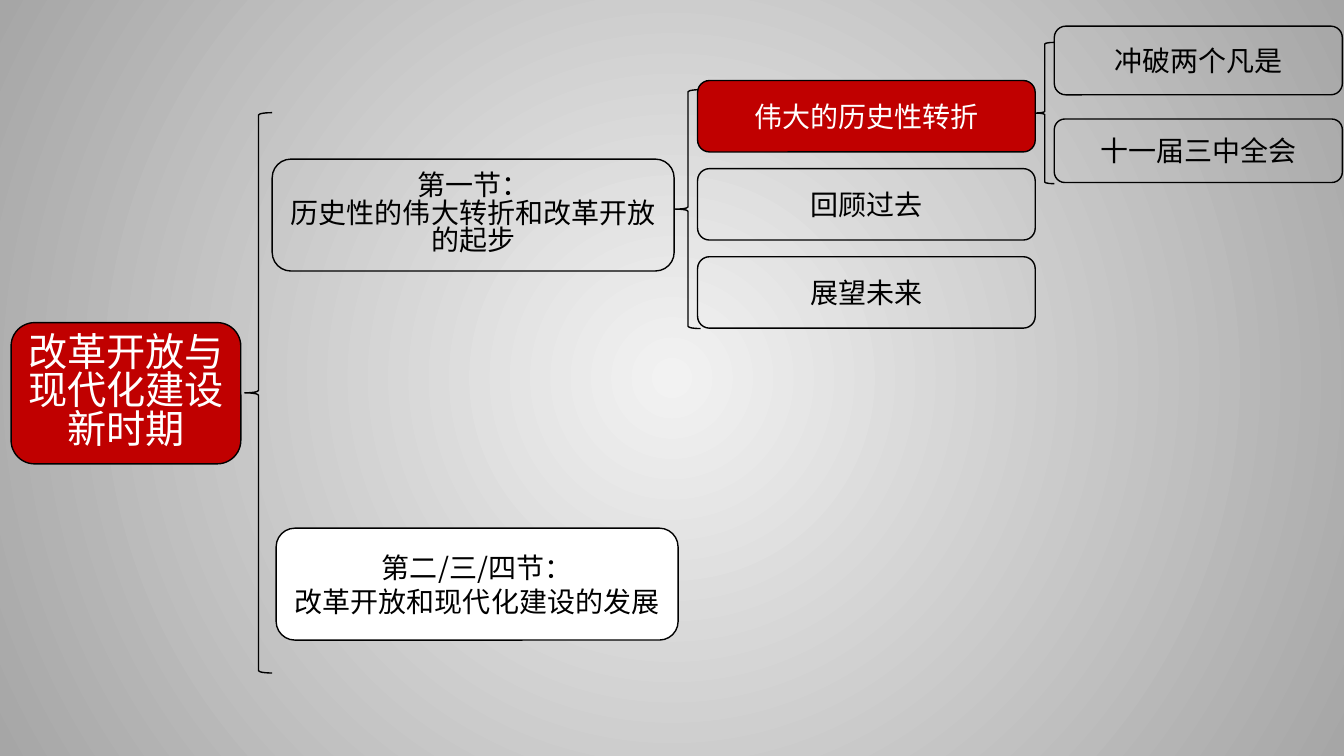
from dataclasses import dataclass

from lxml import etree
from pptx import Presentation
from pptx.dml.color import RGBColor
from pptx.enum.shapes import MSO_SHAPE
from pptx.enum.text import MSO_ANCHOR, PP_ALIGN
from pptx.oxml.ns import qn
from pptx.util import Cm, Pt

ROUNDED = MSO_SHAPE.ROUNDED_RECTANGLE
BRACE = MSO_SHAPE.LEFT_BRACE
MIDDLE = MSO_ANCHOR.MIDDLE
CENTER = PP_ALIGN.CENTER


@dataclass(frozen=True)
class Theme:
    font: str = "Noto Sans CJK SC"
    red: RGBColor = RGBColor(0xC0, 0x00, 0x00)
    black: RGBColor = RGBColor(0x00, 0x00, 0x00)
    white: RGBColor = RGBColor(0xFF, 0xFF, 0xFF)
    glow: RGBColor = RGBColor(0xF2, 0xF2, 0xF2)
    edge: RGBColor = RGBColor(0xA6, 0xA6, 0xA6)
    title_size: int = 28
    body_size: int = 20
    tight: float = 0.82


THEME = Theme()


def set_background(s):
    """Radial gradient, light in the centre."""
    fill = s.background.fill
    fill.gradient()
    for stop, color, position in zip(fill.gradient_stops, (THEME.glow, THEME.edge), (0, 1)):
        stop.color.rgb = color
        stop.position = position
    grad = s.element.find(".//" + qn("a:gradFill"))
    grad.remove(grad.find(qn("a:lin")))
    path = etree.SubElement(grad, qn("a:path"), {"path": "circle"})
    etree.SubElement(path, qn("a:fillToRect"), dict.fromkeys("ltrb", "50000"))


def add_outline(s, kind, box, fill=None):
    sp = s.shapes.add_shape(kind, *(Cm(v) for v in box))
    sp.shadow.inherit = False
    sp.line.color.rgb = THEME.black
    sp.line.width = Pt(1)
    if fill is None:
        sp.fill.background()
    else:
        sp.fill.solid()
        sp.fill.fore_color.rgb = fill
    return sp


def add_brace(s, box):
    add_outline(s, BRACE, box)


def add_topic(s, box, lines, fill=None, size=THEME.body_size, spacing=None):
    tf = add_outline(s, ROUNDED, box, fill).text_frame
    frame_format = {"word_wrap": True, "vertical_anchor": MIDDLE,
                    "margin_left": Cm(0.2), "margin_right": Cm(0.2)}
    for name, value in frame_format.items():
        setattr(tf, name, value)
    tf.text = "\n".join(lines)
    color = THEME.white if fill == THEME.red else THEME.black
    for p in tf.paragraphs:
        p.alignment = CENTER
        p.line_spacing = spacing
        r = p.runs[0]
        for name, value in {"size": Pt(size), "name": THEME.font}.items():
            setattr(r.font, name, value)
        r.font.color.rgb = color
        etree.SubElement(r.font._element if hasattr(r.font, "_element") else r._r.get_or_add_rPr(),
                         qn("a:ea"), {"typeface": THEME.font})


def main():
    prs = Presentation()
    prs.slide_width, prs.slide_height = Cm(33.87), Cm(19.05)
    s = prs.slides.add_slide(prs.slide_layouts[6])
    set_background(s)

    # Root topic
    add_topic(s, (0.28, 8.13, 5.79, 3.56), ["改革开放与现代化建设新时期"],
              THEME.red, THEME.title_size, THEME.tight)
    add_brace(s, (6.17, 2.84, 0.69, 14.12))

    # Sections
    add_topic(s, (6.86, 4.01, 10.13, 2.82),
              ["第一节：", "历史性的伟大转折和改革开放的起步"], spacing=THEME.tight)
    add_topic(s, (6.96, 13.31, 10.13, 2.82),
              ["第二/三/四节：", "改革开放和现代化建设的发展"], THEME.white)
    add_brace(s, (17.02, 2.26, 0.64, 6.02))

    # Topics of the first section, evenly stacked
    topics = [("伟大的历史性转折", THEME.red), ("回顾过去", None), ("展望未来", None)]
    for i, (text, fill) in enumerate(topics):
        add_topic(s, (17.58, 2.03 + 2.22 * i, 8.51, 1.8), [text], fill)
    add_brace(s, (26.09, 1.07, 0.48, 3.56))

    # Details of the turning point
    for text, top, height in (("冲破两个凡是", 0.66, 1.73), ("十一届三中全会", 3, 1.6)):
        add_topic(s, (26.57, top, 7.26, height), [text])

    prs.save("out.pptx")


if __name__ == "__main__":
    main()
